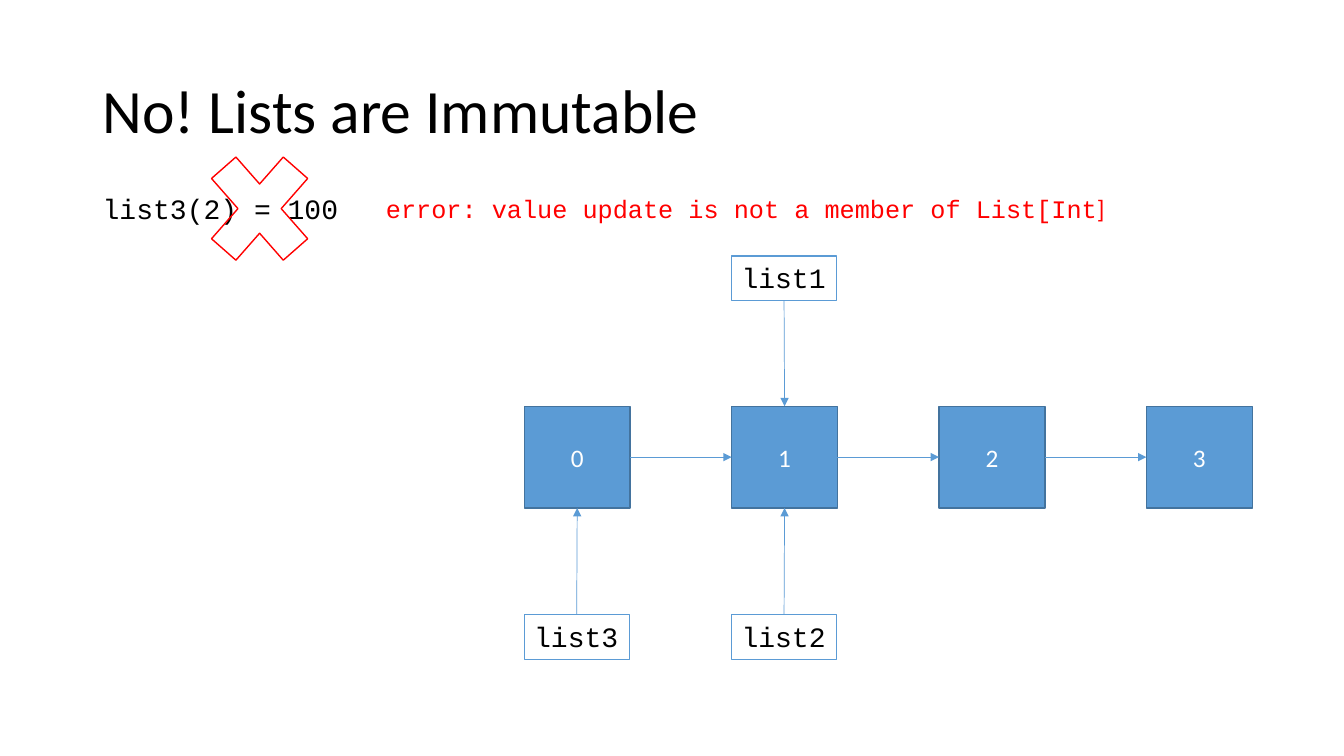
from dataclasses import dataclass

from lxml.etree import SubElement
from pptx import Presentation
from pptx.dml.color import RGBColor
from pptx.enum.shapes import MSO_CONNECTOR, MSO_SHAPE
from pptx.enum.text import MSO_ANCHOR, MSO_AUTO_SIZE, PP_ALIGN
from pptx.oxml.ns import qn
from pptx.util import Inches, Pt

BLACK = RGBColor(0x00, 0x00, 0x00)
WHITE = RGBColor(0xFF, 0xFF, 0xFF)
RED = RGBColor(0xFF, 0x00, 0x00)
BLUE = RGBColor(0x5B, 0x9B, 0xD5)
DARK_BLUE = RGBColor(0x43, 0x73, 0x9E)

BODY_FONT = "Calibri"
CODE_FONT = "Courier New"

# Grid of the list diagram, in inches
FIRST_COLUMN, LAST_COLUMN = 5.2, 11.37
NODE_COUNT = 4
COLUMN_STEP = (LAST_COLUMN - FIRST_COLUMN) / (NODE_COUNT - 1)
NODE_TOP, NODE_WIDTH, NODE_HEIGHT = 4.03, 1.05, 1.01
LABEL_WIDTH, LABEL_HEIGHT = 1.04, 0.44
LABEL_ABOVE, LABEL_BELOW = 2.54, 6.1

# Connection sites of a rectangle
TOP, LEFT, BOTTOM, RIGHT = range(4)


@dataclass(frozen=True)
class Area:
    left: float
    top: float
    width: float
    height: float

    def lengths(self) -> list:
        return [Inches(v) for v in (self.left, self.top, self.width, self.height)]


@dataclass(frozen=True)
class Label:
    name: str
    column: int
    above: bool = False


LABELS = [Label("list1", 1, above=True), Label("list2", 1), Label("list3", 0)]


def column_left(column: int) -> float:
    return FIRST_COLUMN + column * COLUMN_STEP


def add_span(para, text: str, *, size: float, font: str, color: RGBColor) -> None:
    span = para.add_run()
    span.text = text
    span.font.size = Pt(size)
    span.font.name = font
    span.font.color.rgb = color


def write(shape, text: str, *, size: float, font: str = CODE_FONT,
          color: RGBColor = BLACK, align=PP_ALIGN.LEFT, anchor=MSO_ANCHOR.TOP,
          wrap: bool = False, spacing: float = 1.0):
    frame = shape.text_frame
    frame.word_wrap = wrap
    frame.auto_size = MSO_AUTO_SIZE.NONE if wrap else MSO_AUTO_SIZE.SHAPE_TO_FIT_TEXT
    frame.vertical_anchor = anchor
    para = frame.paragraphs[0]
    para.alignment = align
    para.line_spacing = spacing
    add_span(para, text, size=size, font=font, color=color)
    return para


def add_outline(page, kind, area: Area, *, line: RGBColor, weight: float,
                fill: RGBColor | None = None):
    shape = page.shapes.add_shape(kind, *area.lengths())
    shape.shadow.inherit = False
    if fill is None:
        shape.fill.background()
    else:
        shape.fill.solid()
        shape.fill.fore_color.rgb = fill
    shape.line.color.rgb = line
    shape.line.width = Pt(weight)
    return shape


def add_node(page, column: int):
    area = Area(column_left(column), NODE_TOP, NODE_WIDTH, NODE_HEIGHT)
    node = add_outline(page, MSO_SHAPE.RECTANGLE, area,
                       line=DARK_BLUE, weight=1, fill=BLUE)
    write(node, str(column), size=18, font=BODY_FONT, color=WHITE,
          align=PP_ALIGN.CENTER, anchor=MSO_ANCHOR.MIDDLE, wrap=True)
    return node


def add_label(page, label: Label):
    top = LABEL_ABOVE if label.above else LABEL_BELOW
    area = Area(column_left(label.column), top, LABEL_WIDTH, LABEL_HEIGHT)
    box = add_outline(page, MSO_SHAPE.RECTANGLE, area, line=BLUE, weight=0.75)
    write(box, label.name, size=20)
    return box


def add_arrow(page, source, source_side: int, target, target_side: int) -> None:
    arrow = page.shapes.add_connector(MSO_CONNECTOR.STRAIGHT, 0, 0, 0, 0)
    arrow.begin_connect(source, source_side)
    arrow.end_connect(target, target_side)
    arrow.line.color.rgb = BLUE
    arrow.line.width = Pt(0.5)
    SubElement(arrow.line._get_or_add_ln(), qn("a:tailEnd"), type="triangle")
    SubElement(arrow._element.spPr, qn("a:effectLst"))


def main() -> None:
    deck = Presentation()
    deck.slide_width, deck.slide_height = Inches(13.33), Inches(7.5)
    page = deck.slides.add_slide(deck.slide_layouts[6])

    # Title and the rejected assignment
    title = page.shapes.add_textbox(*Area(0.92, 0.4, 11.5, 1.45).lengths())
    write(title, "No! Lists are Immutable", size=44, font=BODY_FONT,
          anchor=MSO_ANCHOR.MIDDLE, wrap=True, spacing=0.9)
    code = page.shapes.add_textbox(*Area(0.92, 1.85, 2.56, 0.44).lengths())
    write(code, "list3(2) = 100", size=20)

    # List nodes, each pointing to the next
    nodes = [add_node(page, column) for column in range(NODE_COUNT)]
    for node, following in zip(nodes, nodes[1:]):
        add_arrow(page, node, RIGHT, following, LEFT)

    # Names pointing to their first node
    for label in LABELS:
        box = add_label(page, label)
        sides = (BOTTOM, TOP) if label.above else (TOP, BOTTOM)
        add_arrow(page, box, sides[0], nodes[label.column], sides[1])

    # Red cross and error message
    add_outline(page, MSO_SHAPE.MATH_MULTIPLY, Area(1.89, 1.29, 1.37, 1.56),
                line=RED, weight=1)
    error = page.shapes.add_textbox(*Area(3.73, 1.87, 7.36, 0.4).lengths())
    para = write(error, "error: value update is not a member of List[Int",
                 size=18, color=RED)
    add_span(para, "]", size=18, font=BODY_FONT, color=RED)

    deck.save("out.pptx")


if __name__ == "__main__":
    main()
